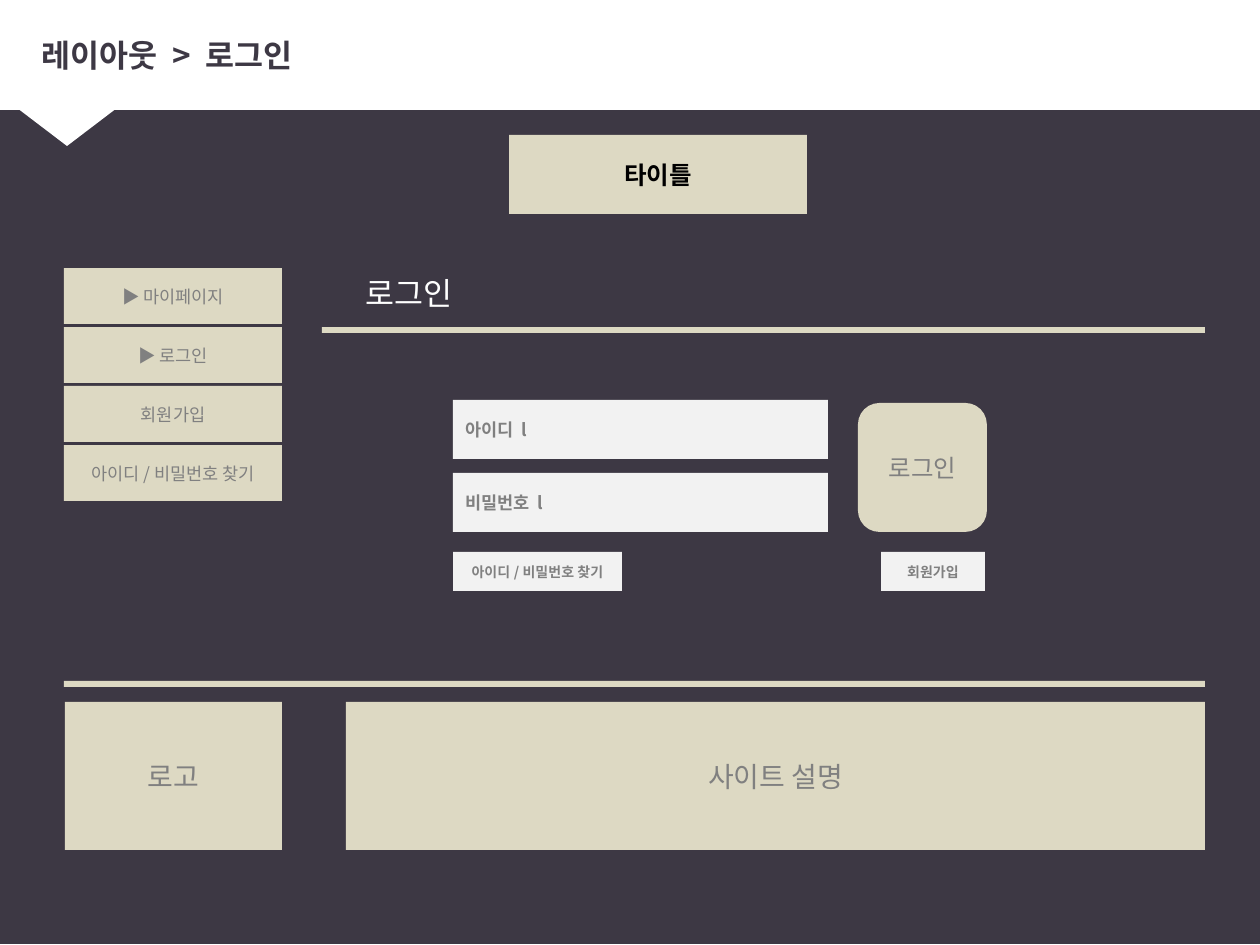
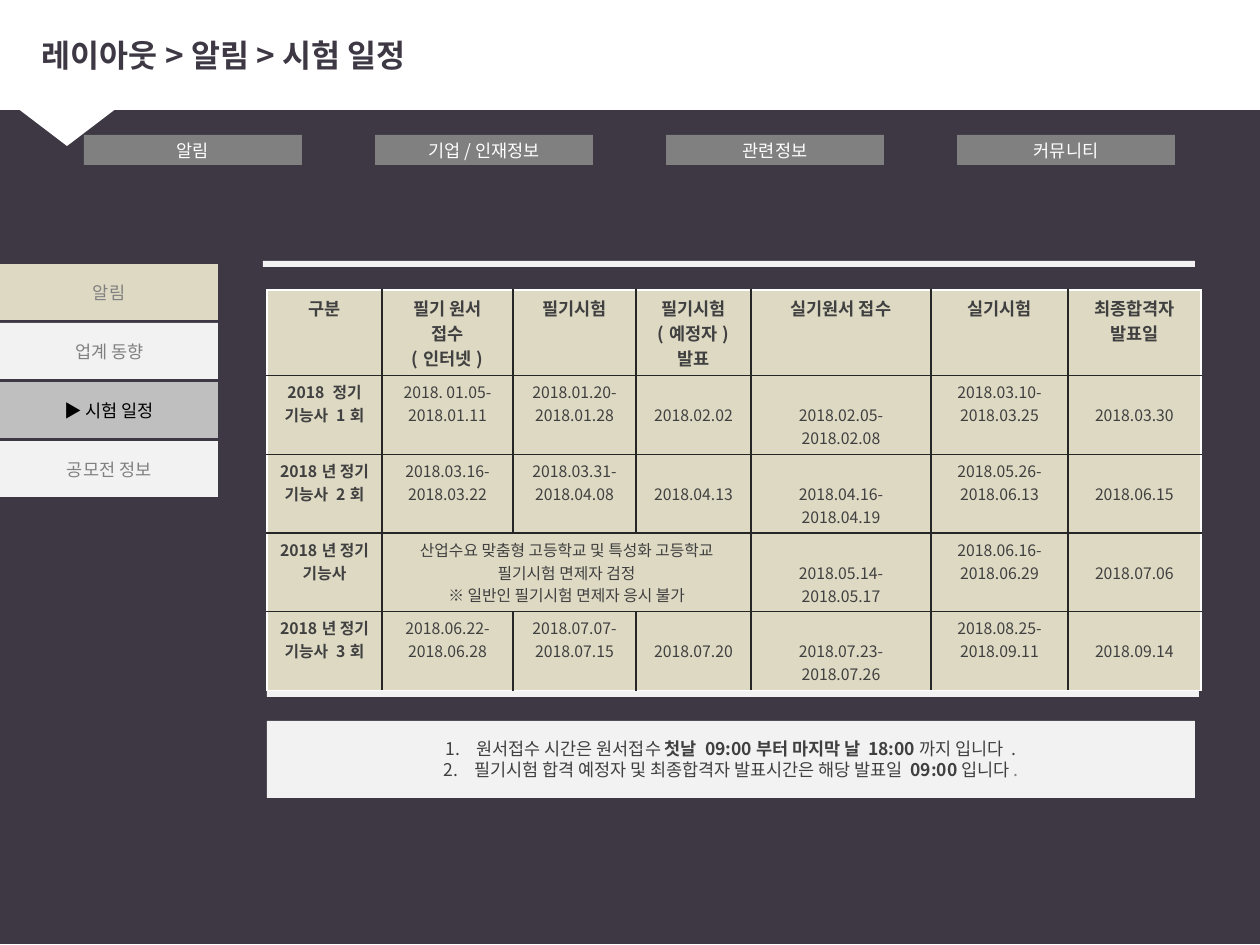
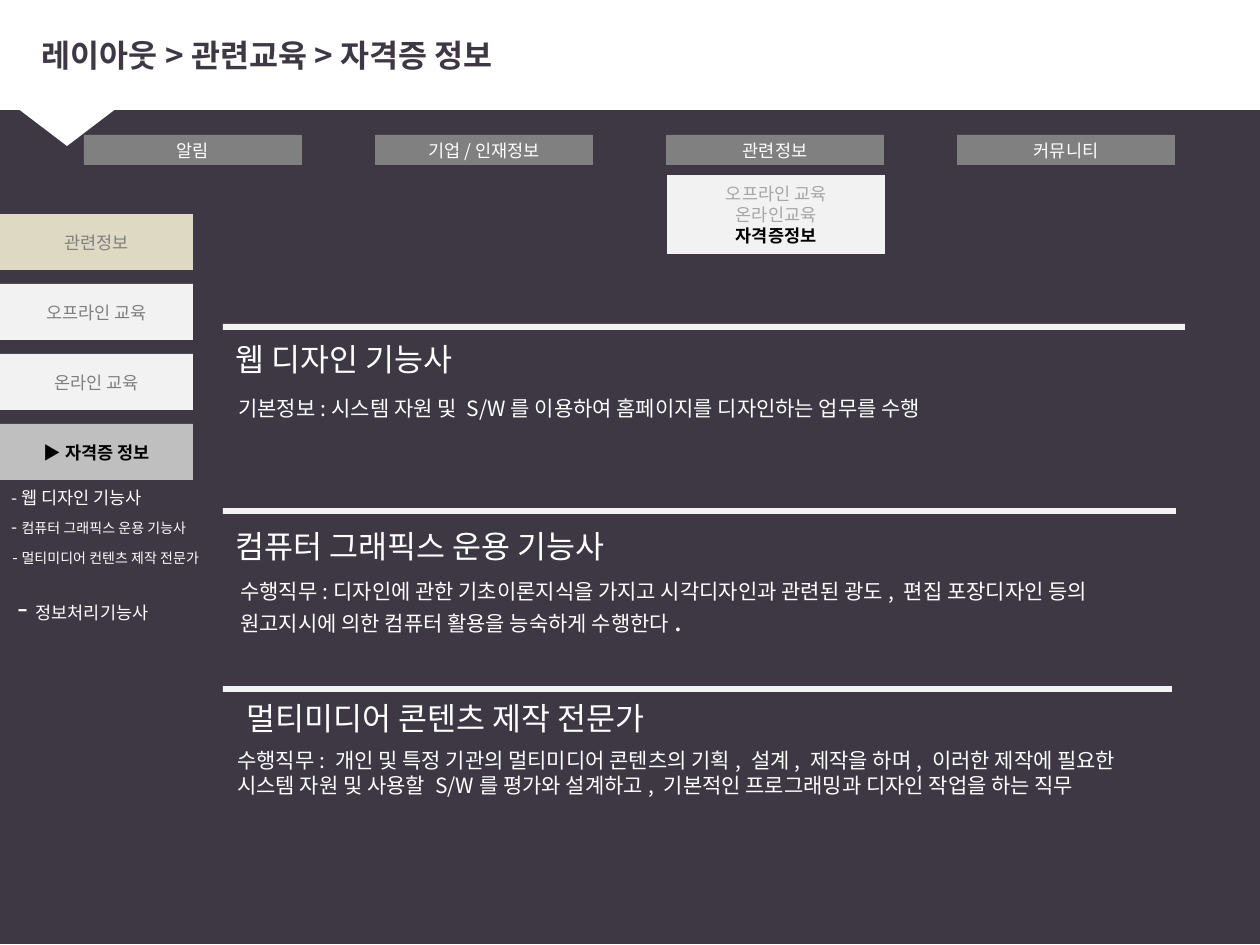
import pptx
import pptx.dml.color
import pptx.enum.shapes
import pptx.enum.text
import pptx.oxml
import pptx.oxml.ns
import pptx.util

RGBColor = pptx.dml.color.RGBColor
Align = pptx.enum.text.PP_ALIGN
Anchor = pptx.enum.text.MSO_ANCHOR
Kind = pptx.enum.shapes.MSO_SHAPE

DARK = RGBColor(0x3D, 0x38, 0x44)
WHITE = RGBColor(0xFF, 0xFF, 0xFF)
BLACK = RGBColor(0, 0, 0)
BEIGE = RGBColor(0xDD, 0xD9, 0xC3)
PALE = RGBColor(0xF2, 0xF2, 0xF2)
SILVER = RGBColor(0xBF, 0xBF, 0xBF)
FADED = RGBColor(0xA6, 0xA6, 0xA6)
GRAY = RGBColor(0x80, 0x80, 0x80)
CHARCOAL = RGBColor(0x40, 0x40, 0x40)
GRID = RGBColor(0x26, 0x26, 0x26)
FONT = "Noto Sans CJK KR"
EMU_PER_PX = 914400 / 126
LINE_HEIGHT = 6
MENU_HEIGHT = 56
NAVIGATION = ["알림", "기업/인재정보", "관련정보", "커뮤니티"]

COLUMN_WIDTHS = [115, 131, 123, 115, 180, 137, 133]
ROW_HEIGHTS = [82, 75, 75, 68, 75]
LOWERED_COLUMNS = (3, 4, 6)
SCHEDULE = [
    [["구분"], ["필기 원서", "접수", "(인터넷)"], ["필기시험"], ["필기시험", "(예정자)", "발표"],
     ["실기원서 접수"], ["실기시험"], ["최종합격자", "발표일"]],
    [["2018 정기 기능사 1회"], ["2018. 01.05-", "2018.01.11"], ["2018.01.20-", "2018.01.28"],
     ["2018.02.02"], ["2018.02.05-2018.02.08"], ["2018.03.10-2018.03.25"], ["2018.03.30"]],
    [["2018년 정기 기능사 2회"], ["2018.03.16-", "2018.03.22"], ["2018.03.31-", "2018.04.08"],
     ["2018.04.13"], ["2018.04.16-2018.04.19"], ["2018.05.26-", "2018.06.13"], ["2018.06.15"]],
    [["2018년 정기 기능사"],
     ["산업수요 맞춤형 고등학교 및 특성화 고등학교", "필기시험 면제자 검정", "※ 일반인 필기시험 면제자 응시 불가"],
     [], [], ["2018.05.14-2018.05.17"], ["2018.06.16-2018.06.29"], ["2018.07.06"]],
    [["2018년 정기 기능사 3회"], ["2018.06.22-", "2018.06.28"], ["2018.07.07-", "2018.07.15"],
     ["2018.07.20"], ["2018.07.23-2018.07.26"], ["2018.08.25-", "2018.09.11"], ["2018.09.14"]],
]


def px(value):
    """Turn pixels into EMU."""
    return pptx.util.Emu(round(value * EMU_PER_PX))


def box(*lengths):
    """Turn left, top, width and height from pixels into EMU."""
    return [px(length) for length in lengths]


def set_font(font, size=None, color=None, bold=None):
    """Set the given font properties, with the typeface for Latin and Korean."""
    font.name = FONT
    properties = font._element if hasattr(font, "_element") else font._rPr
    latin = properties.find(pptx.oxml.ns.qn("a:latin"))
    latin.addnext(pptx.oxml.parse_xml(
        f'<a:ea {pptx.oxml.ns.nsdecls("a")} typeface="{FONT}"/>'))
    if size:
        font.size = pptx.util.Pt(size)
    if color is not None:
        font.color.rgb = color
    if bold is not None:
        font.bold = bold


def write_text(text_frame, lines, size, color, bold=False, align=Align.CENTER):
    """Write paragraphs, each a string or a list of (text, font changes) runs."""
    text_frame.word_wrap = True
    for index, line in enumerate(lines):
        paragraph = text_frame.paragraphs[0] if index == 0 else text_frame.add_paragraph()
        paragraph.alignment = align
        set_font(paragraph.font, size, color, bold)
        for text, changes in [(line, {})] if isinstance(line, str) else line:
            run = paragraph.add_run()
            run.text = text
            if changes:
                set_font(run.font, **changes)


def add_block(slide, bounds, fill, lines=(), size=10, color=GRAY, bold=False,
              align=Align.CENTER, kind=Kind.RECTANGLE):
    """Add a flat filled shape with optional text."""
    shape = slide.shapes.add_shape(kind, *box(*bounds))
    shape.shadow.inherit = False
    shape.fill.solid()
    shape.fill.fore_color.rgb = fill
    shape.line.fill.background()
    shape.text_frame.vertical_anchor = Anchor.MIDDLE
    write_text(shape.text_frame, lines, size, color, bold, align)
    return shape


def add_label(slide, bounds, line, size):
    """Add white left-aligned text."""
    shape = slide.shapes.add_textbox(*box(*bounds))
    write_text(shape.text_frame, [line], size, WHITE, align=Align.LEFT)


def add_menu(slide, left, top, width, step, items):
    """Stack menu buttons given as (line, fill, text colour)."""
    for index, (line, fill, color) in enumerate(items):
        bounds = (left, top + index * step, width, MENU_HEIGHT)
        add_block(slide, bounds, fill, [line], color=color)


def add_navigation(slide):
    """Add the row of top navigation buttons."""
    for index, name in enumerate(NAVIGATION):
        add_block(slide, (84 + index * 291, 135, 218, 30), GRAY, [name], color=WHITE)


def add_titled_slide(presentation, title):
    """Add a title-only slide and format its title."""
    slide = presentation.slides.add_slide(presentation.slide_layouts[5])
    shape = slide.shapes.title
    shape.left, shape.top, shape.width, shape.height = box(29, 16, 1217, 78)
    shape.text_frame.vertical_anchor = Anchor.MIDDLE
    write_text(shape.text_frame, [title], 18, DARK, True, Align.LEFT)
    return slide


def move_bands_to_layout(slide):
    """Draw the background, header band and pointer, and put them in the layout."""
    pointer = add_block(slide, (-25, 76, 184, 70), WHITE, kind=Kind.ISOSCELES_TRIANGLE)
    pointer.rotation = 180
    bands = [add_block(slide, (0, -1, 1278, 945), DARK),
             add_block(slide, (-4, -3, 1282, 113), WHITE), pointer]
    for index, band in enumerate(bands):
        slide.slide_layout.shapes.element.insert(2 + index, band.element)


def set_borders(cell, colors):
    """Draw the left, right, top and bottom borders in the given colours."""
    properties = cell._tc.get_or_add_tcPr()
    for index, (side, color) in enumerate(zip("LRTB", colors)):
        properties.insert(index, pptx.oxml.parse_xml(
            f'<a:ln{side} {pptx.oxml.ns.nsdecls("a")} w="12700"><a:solidFill>'
            f'<a:srgbClr val="{color}"/></a:solidFill></a:ln{side}>'))


def add_schedule(slide):
    """Add the exam schedule table."""
    last_row, last_column = len(ROW_HEIGHTS) - 1, len(COLUMN_WIDTHS) - 1
    bounds = box(267, 290, sum(COLUMN_WIDTHS), sum(ROW_HEIGHTS))
    table = slide.shapes.add_table(last_row + 1, last_column + 1, *bounds).table
    table.first_row = table.horz_banding = False
    for column, width in zip(table.columns, COLUMN_WIDTHS):
        column.width = px(width)
    for row, height in zip(table.rows, ROW_HEIGHTS):
        row.height = px(height)
    table.cell(3, 1).merge(table.cell(3, 3))
    for row, entries in enumerate(SCHEDULE):
        for column, lines in enumerate(entries):
            cell = table.cell(row, column)
            lowered = row > 0 and column in LOWERED_COLUMNS and lines
            cell.margin_left = cell.margin_right = px(10)
            cell.margin_top = px(28 if lowered else 5)
            cell.margin_bottom = px(5)
            cell.fill.solid()
            cell.fill.fore_color.rgb = BEIGE
            edges = (column == 0, column == last_column, row == 0, row == last_row)
            set_borders(cell, [WHITE if edge else GRID for edge in edges])
            write_text(cell.text_frame, lines, 9 if row else 10, CHARCOAL,
                       row == 0 or column == 0)


def number_paragraphs(text_frame):
    """Number the paragraphs with a hanging indent."""
    for paragraph in text_frame.paragraphs:
        properties = paragraph._p.get_or_add_pPr()
        properties.set("marL", str(px(31)))
        properties.set("indent", str(px(-31)))
        properties.insert(0, pptx.oxml.parse_xml(
            f'<a:buAutoNum {pptx.oxml.ns.nsdecls("a")} type="arabicPeriod"/>'))


def build_login(presentation):
    """Build the login page layout."""
    slide = add_titled_slide(presentation, "레이아웃 > 로그인")
    move_bands_to_layout(slide)
    for index, name in enumerate(["아이디 l", "비밀번호 l"]):
        add_block(slide, (453, 400 + index * 73, 375, 59), PALE, [name],
                  bold=True, align=Align.LEFT)
    add_block(slide, (453, 552, 169, 39), PALE, ["아이디/비밀번호 찾기"], 8, bold=True)
    add_block(slide, (881, 552, 104, 39), PALE, ["회원가입"], 8, bold=True)
    add_block(slide, (858, 403, 129, 129), BEIGE, ["로그인"], 14, kind=Kind.ROUNDED_RECTANGLE)
    names = ["▶ 마이페이지", "▶ 로그인", "회원가입", "아이디/비밀번호 찾기"]
    add_menu(slide, 64, 268, 218, 59, [(name, BEIGE, GRAY) for name in names])
    add_block(slide, (322, 327, 883, LINE_HEIGHT), BEIGE)
    add_label(slide, (353, 268, 149, 50), "로그인", 18)
    add_block(slide, (64, 681, 1141, LINE_HEIGHT), BEIGE)
    add_block(slide, (65, 702, 217, 148), BEIGE, ["로고"], 16)
    add_block(slide, (346, 702, 859, 148), BEIGE, ["사이트 설명"], 16)
    add_block(slide, (509, 135, 298, 79), BEIGE, ["타이틀"], 14, BLACK, True)


def build_exam_schedule(presentation):
    """Build the exam schedule page layout."""
    slide = add_titled_slide(presentation, "레이아웃>알림>시험 일정")
    add_navigation(slide)
    add_schedule(slide)
    add_block(slide, (263, 261, 932, LINE_HEIGHT), PALE)
    strong = {"bold": True}
    notes = add_block(slide, (267, 721, 928, 77), PALE, [
        [("원서접수 시간은 원서접수 ", {}), ("첫날 09:00부터 마지막 날 18:00", strong),
         ("까지 입니다 .", {})],
        [("필기시험 합격 예정자 및 최종합격자 발표시간은 해당 발표일 ", {}), ("09:00", strong),
         ("입니다", {}), (".", {"color": GRAY})],
    ], color=CHARCOAL)
    number_paragraphs(notes.text_frame)
    add_block(slide, (267, 691, 932, LINE_HEIGHT), PALE)
    add_menu(slide, 0, 264, 218, 59, [
        ("알림", BEIGE, GRAY), ("업계 동향", PALE, GRAY),
        ("▶ 시험 일정", SILVER, BLACK), ("공모전 정보", PALE, GRAY)])


def build_certificates(presentation):
    """Build the certificate information page layout."""
    slide = add_titled_slide(presentation, "레이아웃>관련교육>자격증 정보")
    add_navigation(slide)
    add_menu(slide, 0, 214, 193, 70, [
        ("관련정보", BEIGE, GRAY), ("오프라인 교육", PALE, GRAY), ("온라인 교육", PALE, GRAY),
        ([("▶ ", {}), ("자격증 정보", {"bold": True})], SILVER, BLACK)])
    add_label(slide, (-1, 481, 204, 34), "-웹 디자인 기능사", 10)
    add_label(slide, (-1, 510, 219, 34), [("-", {}), ("컴퓨터 그래픽스 운용 기능사", {"size": 8})], 10)
    add_label(slide, (0, 542, 228, 49), [("-", {}), ("멀티미디어 컨텐츠 제작 전문가", {"size": 8})], 9)
    add_label(slide, (5, 582, 163, 50), [("-", {}), ("정보처리기능사", {"size": 10})], 18)
    add_block(slide, (667, 175, 218, 79), PALE, [
        "오프라인 교육", "온라인교육", [("자격증정보", {"color": BLACK, "bold": True})]], color=FADED)
    for top, width in [(324, 962), (508, 953), (686, 949)]:
        add_block(slide, (223, top, width, LINE_HEIGHT), PALE)
    add_label(slide, (223, 334, 304, 50), "웹 디자인 기능사", 18)
    add_label(slide, (226, 389, 881, 38),
              "기본정보:시스템 자원 및 S/W를 이용하여 홈페이지를 디자인하는 업무를 수행", 12)
    add_label(slide, (223, 521, 470, 50), "컴퓨터 그래픽스 운용 기능사", 18)
    add_label(slide, (228, 572, 945, 72), [
        ("수행직무:디자인에 관한 기초이론지식을 가지고 시각디자인과 관련된 광도, 편집 포장디자인 등의 "
         "원고지시에 의한 컴퓨터 활용을 능숙하게 수행한다", {}), (".", {"size": 16})], 12)
    add_label(slide, (234, 693, 485, 50), "멀티미디어 콘텐츠 제작 전문가", 18)
    add_label(slide, (225, 741, 931, 165),
              "수행직무: 개인 및 특정 기관의 멀티미디어 콘텐츠의 기획, 설계, 제작을 하며, 이러한 제작에 필요한 "
              "시스템 자원 및 사용할 S/W를 평가와 설계하고, 기본적인 프로그래밍과 디자인 작업을 하는 직무", 12)


def main():
    """Build the presentation."""
    presentation = pptx.Presentation()
    presentation.slide_width, presentation.slide_height = px(1260), px(945)
    build_login(presentation)
    build_exam_schedule(presentation)
    build_certificates(presentation)
    presentation.save("out.pptx")


if __name__ == "__main__":
    main()
